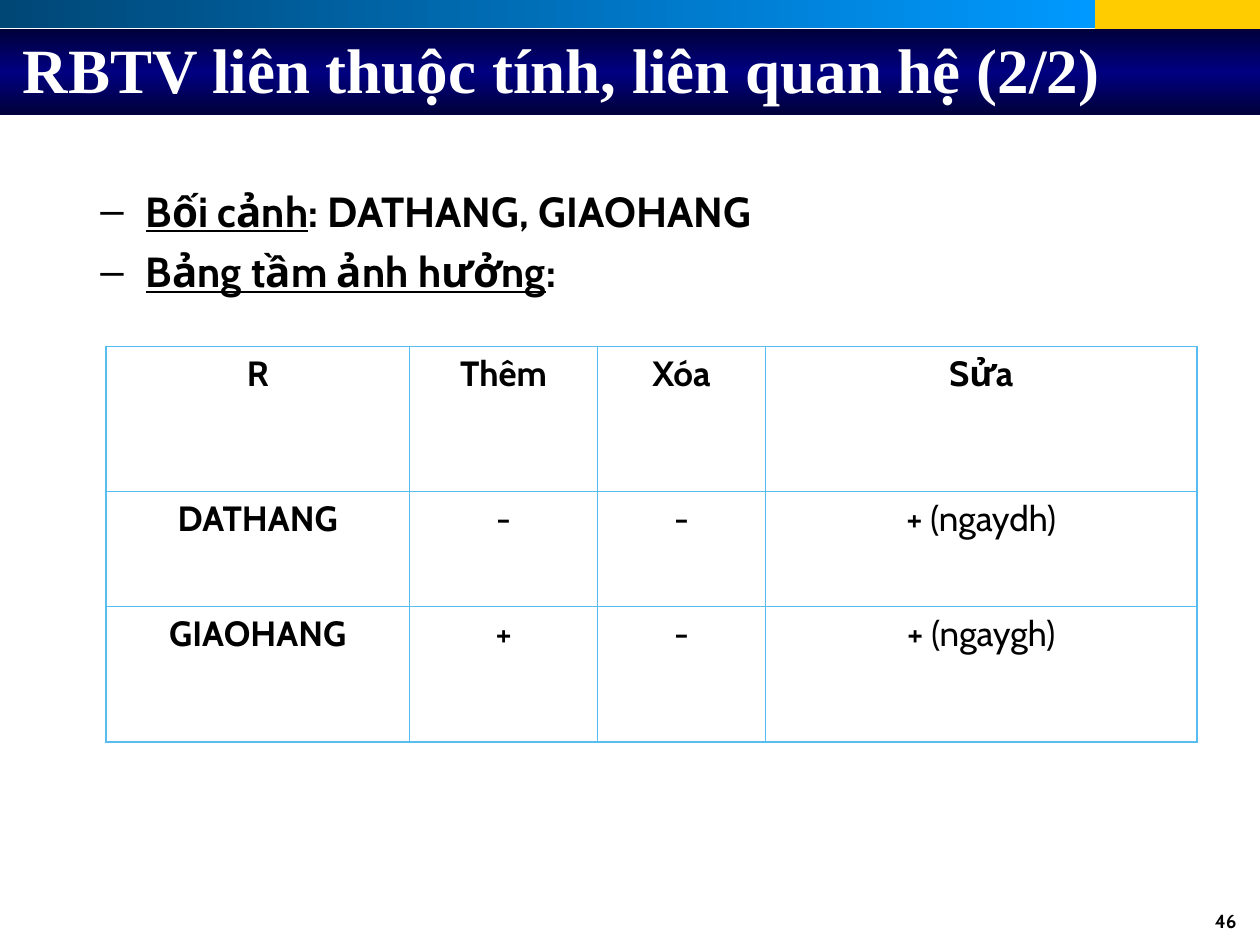
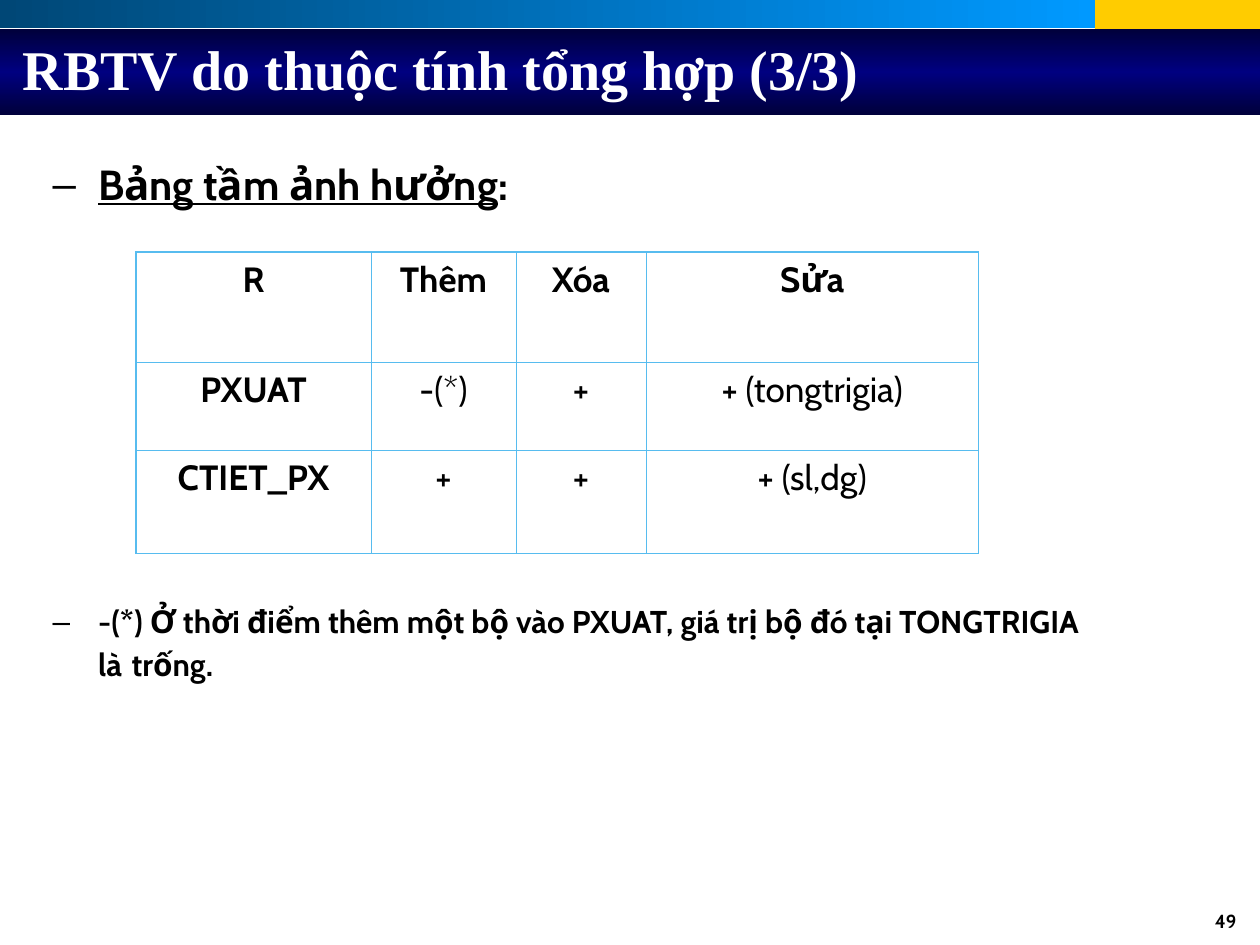
"""Build two slides on integrity constraints, each with an influence table."""
from copy import deepcopy

from lxml import etree
from pptx import Presentation
from pptx.dml.color import RGBColor
from pptx.enum.shapes import MSO_SHAPE
from pptx.enum.text import MSO_ANCHOR, MSO_AUTO_SIZE, PP_ALIGN
from pptx.oxml.ns import qn
from pptx.util import Pt

RECTANGLE = MSO_SHAPE.RECTANGLE
MIDDLE = MSO_ANCHOR.MIDDLE
NO_AUTOFIT = MSO_AUTO_SIZE.NONE
LEFT, CENTER, RIGHT = PP_ALIGN.LEFT, PP_ALIGN.CENTER, PP_ALIGN.RIGHT

BLACK = RGBColor(0x00, 0x00, 0x00)
WHITE = RGBColor(0xFF, 0xFF, 0xFF)
YELLOW = RGBColor(0xFF, 0xCC, 0x00)
TEAL = RGBColor(0x00, 0x47, 0x76)
AZURE = RGBColor(0x00, 0x99, 0xFF)
MIDNIGHT = RGBColor(0x00, 0x00, 0x3B)
NAVY = RGBColor(0x00, 0x00, 0x80)
SKY = RGBColor(0x57, 0xBC, 0xEF)

BODY_FONT = "Cabin"
TITLE_FONT = "Times New Roman"
OUTER_LINE, INNER_LINE = 1.08, 0.45
TABLE_HEADER = ["R", "Thêm", "Xóa", "Sửa"]

BANDS = [
    ((625.7, 0, 94.3, 20.2), [YELLOW], 0),
    ((0, 0, 625.7, 15.8), [TEAL, AZURE], 0),
    ((0, 16.6, 720, 49), [MIDNIGHT, NAVY, MIDNIGHT], 90),
]

SLIDES = [
    {
        "title": "RBTV liên thuộc tính, liên quan hệ (2/2)",
        "title_size": 36,
        "title_width": 671.8,
        "number": "46",
        "body_box": (40.3, 102.2, 632.2, 356.4),
        "line_spacing": 1.0,
        "bullets": [
            (0, [("Bối cảnh", 24, True), (": DATHANG, GIAOHANG", 24, False)]),
            (6, [("Bảng tầm ảnh hưởng", 24, True), (":", 24, False)]),
        ],
        "table_corner": (60.5, 198),
        "columns": [173.6, 107.4, 95.9, 246.7],
        "rows": [82.8, 65.7, 77.4],
        "cells": [
            ["DATHANG", "-", "-", "+ (ngaydh)"],
            ["GIAOHANG", "+", "-", "+ (ngaygh)"],
        ],
    },
    {
        "title": "RBTV do thuộc tính tổng hợp (3/3)",
        "title_size": 32,
        "title_width": 648,
        "number": "49",
        "body_box": (13, 90, 617, 387.4),
        "line_spacing": 0.9,
        "bullets": [
            (0, [("Bảng tầm ảnh hưởng", 24, True), (":", 24, False)]),
            (227, [
                ("-(*) Ở thời điểm thêm một bộ vào PXUAT, giá trị bộ đó tại TONGTRIGIA là", 18, False),
                (" ", 24, False),
                ("trống.", 18, False),
            ]),
        ],
        "table_corner": (77.8, 144),
        "columns": [134.2, 82.8, 74.3, 190.1],
        "rows": [63.1, 50.3, 59],
        "cells": [
            ["PXUAT", "-(*)", "+", "+ (tongtrigia)"],
            ["CTIET_PX", "+", "+", "+ (sl,dg)"],
        ],
    },
]


def style_font(font, name, size, color, bold):
    font.name = name
    font.size = Pt(size)
    font.color.rgb = color
    font.bold = bold


def add_border(cell, side, width):
    properties = cell._tc.get_or_add_tcPr()
    line = etree.SubElement(properties, qn(f"a:ln{side}"), w=str(Pt(width)))
    fill = etree.SubElement(line, qn("a:solidFill"))
    etree.SubElement(fill, qn("a:srgbClr"), val=str(SKY))


presentation = Presentation()
presentation.slide_width = Pt(720)
presentation.slide_height = Pt(540)
title_only_layout = presentation.slide_layouts[5]

for content in SLIDES:
    slide = presentation.slides.add_slide(title_only_layout)

    for box, colors, angle in BANDS:
        band = slide.shapes.add_shape(RECTANGLE, *map(Pt, box))
        band.shadow.inherit = False
        band.line.fill.background()
        if len(colors) == 1:
            band.fill.solid()
            band.fill.fore_color.rgb = colors[0]
            continue
        band.fill.gradient()
        band.fill.gradient_angle = angle
        stop_list = band.element.spPr.find(f".//{qn('a:gsLst')}")
        for _ in colors[2:]:
            stop_list.append(deepcopy(stop_list[0]))
        for index, (stop, color) in enumerate(zip(band.fill.gradient_stops, colors)):
            stop.position = index / (len(colors) - 1)
            stop.color.rgb = color

    title = slide.shapes.title
    title.element.getparent().append(title.element)
    title.left, title.top = Pt(5.8), Pt(-5.8)
    title.width, title.height = Pt(content["title_width"]), Pt(90)
    title.text_frame.text = content["title"]
    title.text_frame.auto_size = NO_AUTOFIT
    title.text_frame.vertical_anchor = MIDDLE
    paragraph = title.text_frame.paragraphs[0]
    paragraph.alignment = LEFT
    style_font(paragraph.font, TITLE_FONT, content["title_size"], WHITE, True)

    number_box = slide.shapes.add_textbox(Pt(545.8), Pt(516.2), Pt(167.8), Pt(23))
    number_box.text_frame.word_wrap = True
    paragraph = number_box.text_frame.paragraphs[0]
    paragraph.text = content["number"]
    paragraph.alignment = RIGHT
    style_font(paragraph.font, BODY_FONT, 10.8, BLACK, True)

    body = slide.shapes.add_textbox(*map(Pt, content["body_box"])).text_frame
    body.word_wrap = True
    for index, (space_before, runs) in enumerate(content["bullets"]):
        paragraph = body.add_paragraph() if index else body.paragraphs[0]
        paragraph.line_spacing = content["line_spacing"]
        paragraph.space_before = Pt(space_before)
        properties = paragraph._p.get_or_add_pPr()
        properties.set("marL", str(Pt(36)))
        properties.set("indent", str(Pt(-26)))
        bullet_color = etree.SubElement(properties, qn("a:buClr"))
        etree.SubElement(bullet_color, qn("a:srgbClr"), val=str(BLACK))
        etree.SubElement(properties, qn("a:buFont"), typeface="Arial")
        etree.SubElement(properties, qn("a:buChar"), char="–")
        for text, size, underlined in runs:
            run = paragraph.add_run()
            run.text = text
            run.font.underline = underlined
            style_font(run.font, BODY_FONT, size, BLACK, True)

    columns, rows = content["columns"], content["rows"]
    table_size = (sum(columns), sum(rows))
    table = slide.shapes.add_table(
        len(rows), len(columns), *map(Pt, content["table_corner"] + table_size)
    ).table
    table.first_row = table.horz_banding = False
    for column, width in zip(table.columns, columns):
        column.width = Pt(width)
    last_row, last_column = len(rows) - 1, len(columns) - 1
    for row_index, texts in enumerate([TABLE_HEADER] + content["cells"]):
        table.rows[row_index].height = Pt(rows[row_index])
        for column_index, text in enumerate(texts):
            cell = table.cell(row_index, column_index)
            cell.text = text
            paragraph = cell.text_frame.paragraphs[0]
            paragraph.alignment = CENTER
            is_heading = row_index == 0 or column_index == 0
            style_font(paragraph.font, BODY_FONT, 20, BLACK, is_heading)
            outer_sides = {
                "L": column_index == 0,
                "R": column_index == last_column,
                "T": row_index == 0,
                "B": row_index == last_row,
            }
            for side, is_outer in outer_sides.items():
                add_border(cell, side, OUTER_LINE if is_outer else INNER_LINE)
            cell.fill.background()

presentation.save("out.pptx")
